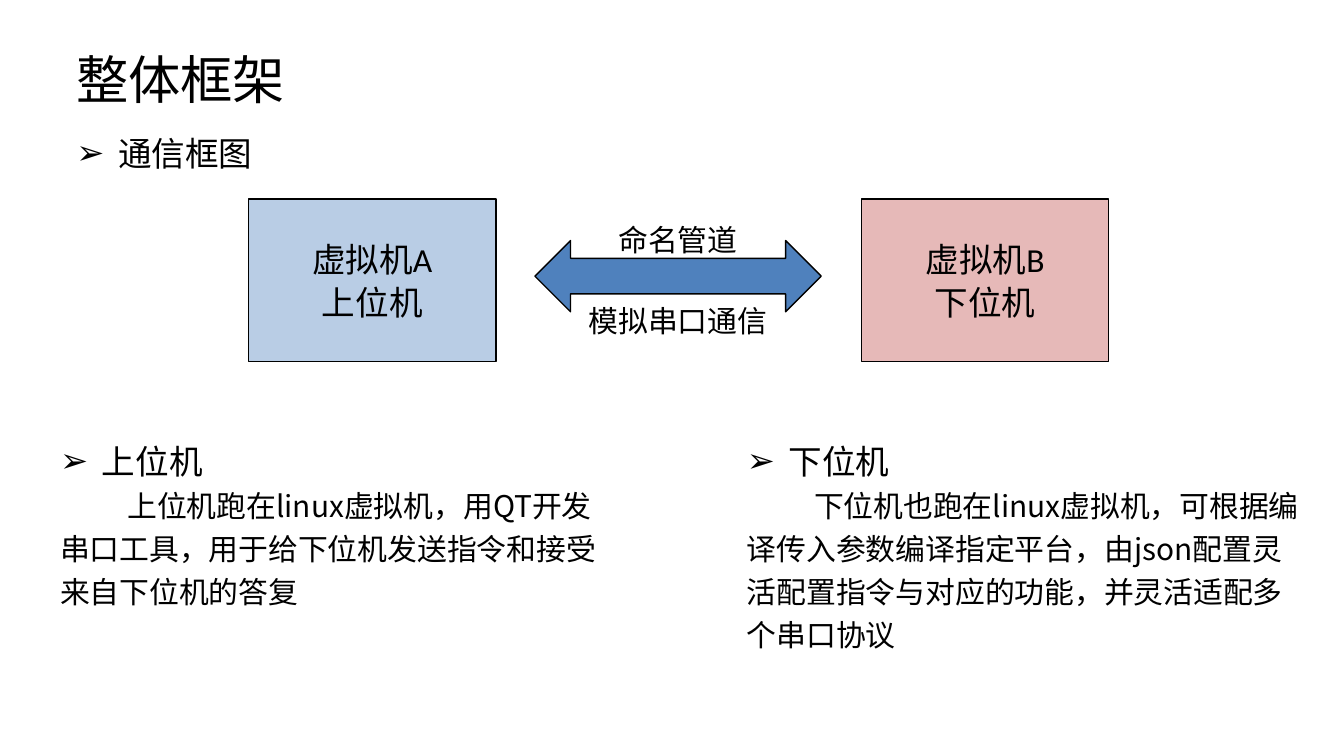
"""Build the slide on the overall framework of two linked virtual machines."""
from dataclasses import dataclass
from lxml.etree import SubElement
from pptx import Presentation
from pptx.dml.color import RGBColor
from pptx.enum.shapes import MSO_SHAPE
from pptx.enum.text import MSO_ANCHOR, PP_ALIGN
from pptx.oxml.ns import qn
from pptx.util import Inches, Pt


@dataclass(frozen=True)
class Theme:
    ink: str = "000000"
    blue: str = "B9CDE5"
    rose: str = "E6B9B8"
    arrow: str = "4F81BD"
    latin: str = "Calibri"
    hans: str = "Noto Sans CJK SC"
    title: int = 28
    head: int = 18
    body: int = 16
    lead: int = 23
    edge: float = 0.75


THEME = Theme()
WIDE = 10
HIGH = WIDE * 9 / 16
MID = 50.45

TITLE = "整体框架"
TOPIC = "通信框图"
NODES = [
    (18.5, THEME.blue, ["虚拟机A", "上位机"]),
    (64.1, THEME.rose, ["虚拟机B", "下位机"]),
]
LINKS = [
    ("命名管道", 27.56, 15),
    ("模拟串口通信", 38.22, 17.3),
]
NOTES = [
    (3.5, 24.71, "上位机",
     "上位机跑在linux虚拟机，用QT开发串口工具，用于给下位机发送指令和接受来自下位机的答复"),
    (54.6, 30.4, "下位机",
     "下位机也跑在linux虚拟机，可根据编译传入参数编译指定平台，"
     "由json配置灵活配置指令与对应的功能，并灵活适配多个串口协议"),
]

deck = Presentation()
deck.slide_width, deck.slide_height = Inches(WIDE), Inches(HIGH)
slide = deck.slides.add_slide(deck.slide_layouts[6])


def place(left, top, width, height):
    """Turn percent shares of the slide into lengths."""
    return [Inches(share * side / 100) for share, side in
            zip((left, top, width, height), (WIDE, HIGH, WIDE, HIGH))]


def add_form(kind, area, fill):
    """Add a filled preset shape with a thin edge."""
    form = slide.shapes.add_shape(kind, *place(*area))
    form.shadow.inherit = False
    form.fill.solid()
    form.fill.fore_color.rgb = RGBColor.from_string(fill)
    form.line.color.rgb = RGBColor.from_string(THEME.ink)
    form.line.width = Pt(THEME.edge)
    return form


def add_text(area, lines, align=PP_ALIGN.LEFT, lead=THEME.lead):
    """Add a text box of (text, size, font, style) lines."""
    frame = slide.shapes.add_textbox(*place(*area)).text_frame
    frame.word_wrap = True
    frame.vertical_anchor = MSO_ANCHOR.TOP
    for row, (text, size, face, style) in enumerate(lines):
        para = frame.add_paragraph() if row else frame.paragraphs[0]
        para.alignment = align
        if lead:
            para.line_spacing = Pt(lead)
        props = para._p.get_or_add_pPr()
        if style == "bullet":
            props.set("marL", str(Inches(0.31)))
            props.set("indent", str(Inches(-0.31)))
            SubElement(props, qn("a:buFont"), typeface="Arial")
            SubElement(props, qn("a:buChar"), char="➢")
        elif style == "indent":
            props.set("marL", "0")
            props.set("indent", str(Inches(0.5)))
        run = para.add_run()
        run.text = text
        run.font.size = Pt(size)
        run.font.color.rgb = RGBColor.from_string(THEME.ink)
        run.font.name = face
        SubElement(run._r.get_or_add_rPr(), qn("a:ea"), typeface=THEME.hans)


add_text((4.7, 5.33, 90.3, 10.13),
         [(TITLE, THEME.title, THEME.hans, "")], lead=None)
add_text((4.7, 16.36, 88.9, 7.47),
         [(TOPIC, THEME.head, THEME.latin, "bullet")])

node_w, node_h, node_top = 18.4, 21.51, 26.31
label_w, label_h = 15, 13.33
for left, fill, names in NODES:
    add_form(MSO_SHAPE.RECTANGLE, (left, node_top, node_w, node_h), fill)
    add_text((left + (node_w - label_w) / 2,
              node_top + (node_h - label_h) / 2, label_w, label_h),
             [(name, THEME.head, THEME.latin, "") for name in names],
             PP_ALIGN.CENTER)

thick, span = 5.3, 37.87
arrow = add_form(MSO_SHAPE.UP_DOWN_ARROW,
                 (MID - thick / 2, 17.6, thick, span), THEME.arrow)
arrow.rotation = 90

for text, top, width in LINKS:
    add_text((MID - width / 2, top, width, 7.47),
             [(text, THEME.body, THEME.latin, "")], PP_ALIGN.CENTER)

for left, height, head, body in NOTES:
    add_text((left, 57.07, 43.3, height),
             [(head, THEME.head, THEME.latin, "bullet"),
              (body, THEME.body, THEME.hans, "indent")])

deck.save("out.pptx")
